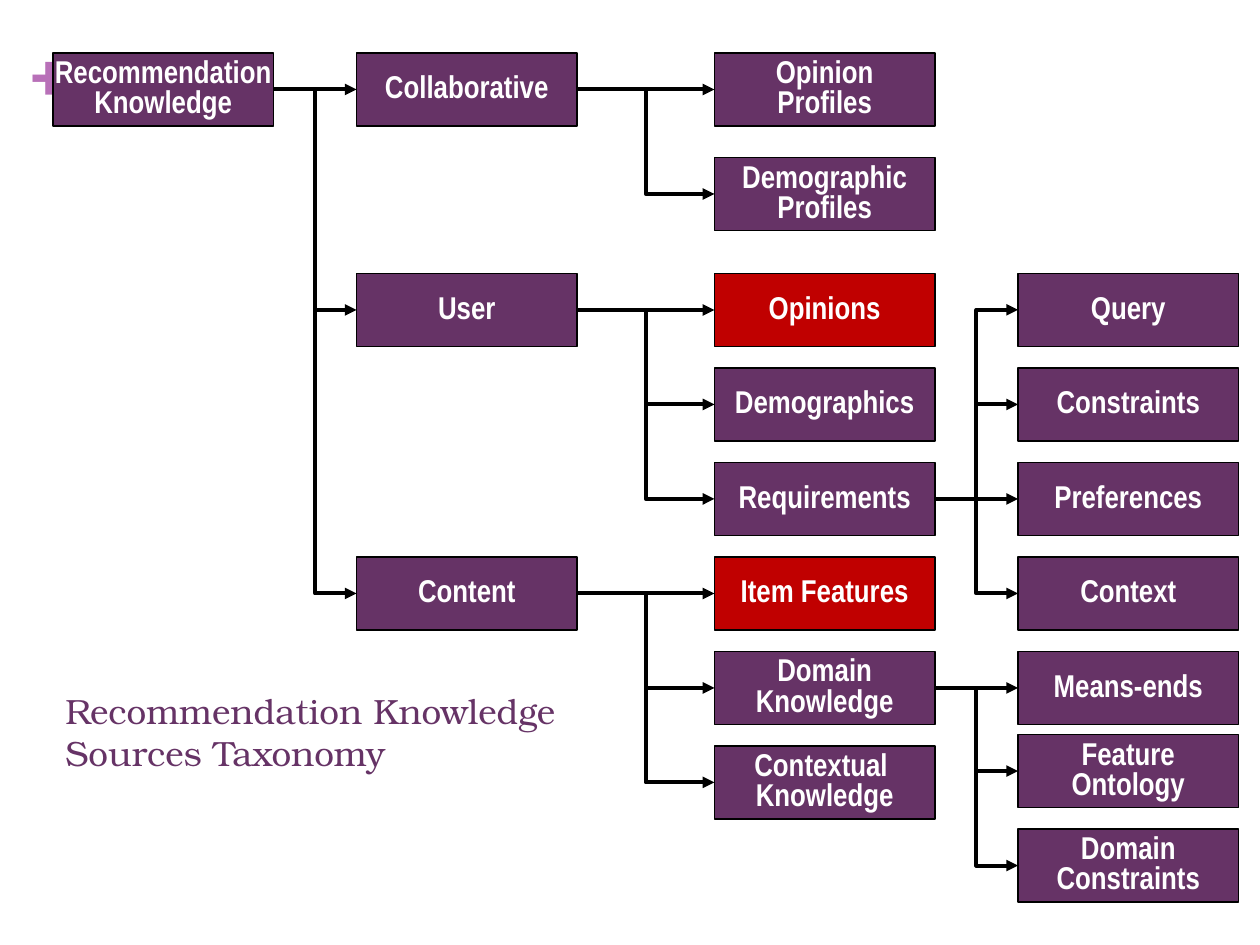
"""Build a slide with the taxonomy of recommendation knowledge sources."""
from dataclasses import dataclass

from lxml.etree import SubElement
from pptx import Presentation
from pptx.dml.color import RGBColor
from pptx.enum.shapes import MSO_CONNECTOR as Route, MSO_SHAPE as Preset
from pptx.enum.text import MSO_ANCHOR as Anchor, PP_ALIGN as Align
from pptx.oxml.ns import qn
from pptx.shapes.autoshape import Shape
from pptx.shapes.shapetree import SlideShapes
from pptx.util import Inches, Pt

PURPLE = RGBColor(0x66, 0x33, 0x66)
RED = RGBColor(0xC0, 0x00, 0x00)
ORCHID = RGBColor(0xB8, 0x70, 0xB8)
BLACK = RGBColor(0x00, 0x00, 0x00)
WHITE = RGBColor(0xFF, 0xFF, 0xFF)

SERIF = "TeX Gyre Bonum"
TITLE_FONT = {"name": SERIF, "size": Pt(20), "bold": False}
PLUS_FONT = {"name": SERIF, "size": Pt(36), "bold": True}
TOPIC_FONT = {"name": "Arial Narrow", "size": Pt(18), "bold": True}
TOPIC_PARAGRAPH = {"alignment": Align.CENTER, "line_spacing": 0.8}
TOPIC_FRAME = {"word_wrap": False, "vertical_anchor": Anchor.MIDDLE}
TITLE_FRAME = {"word_wrap": True, "vertical_anchor": Anchor.TOP}
PLUS_FRAME = {"word_wrap": False} | {
    f"margin_{side}": 0 for side in ("left", "top", "right", "bottom")
}

COLUMN_LEFTS = (0.42, 2.83, 5.67, 8.08)
TOPIC_WIDTH, TOPIC_HEIGHT = 1.75, 0.58
RIGHT_SITE, LEFT_SITE = 3, 1


@dataclass(frozen=True)
class Topic:
    """A knowledge source with its narrower sources."""
    label: str
    top: float
    children: tuple["Topic", ...] = ()
    fill: RGBColor = PURPLE


def stack(top: float, *labels: str) -> tuple[Topic, ...]:
    """Return childless topics at an even row pitch."""
    return tuple(Topic(label, top + 0.75 * row) for row, label in enumerate(labels))


TAXONOMY = Topic("Recommendation\vKnowledge", 0.42, (
    Topic("Collaborative", 0.42, (
        Topic("Opinion\nProfiles", 0.42),
        Topic("Demographic\nProfiles", 1.25),
    )),
    Topic("User", 2.17, (
        Topic("Opinions", 2.17, fill=RED),
        Topic("Demographics", 2.92),
        Topic("Requirements", 3.67,
              stack(2.17, "Query", "Constraints", "Preferences", "Context")),
    )),
    Topic("Content", 4.42, (
        Topic("Item Features", 4.42, fill=RED),
        Topic("Domain\vKnowledge", 5.17, (
            Topic("Means-ends", 5.17),
            *stack(5.83, "Feature\vOntology", "Domain\vConstraints"),
        )),
        Topic("Contextual \nKnowledge", 5.92),
    )),
))


def apply(target: object, values: dict) -> None:
    """Set each named attribute on the target."""
    for attribute, value in values.items():
        setattr(target, attribute, value)


def write(shape: Shape, text: str, frame: dict, paragraph: dict,
          font: dict, color: RGBColor) -> None:
    """Fill a shape with formatted text."""
    shape.text_frame.text = text
    apply(shape.text_frame, frame)
    for line in shape.text_frame.paragraphs:
        apply(line, paragraph)
        for run in line.runs:
            apply(run.font, font)
            run.font.color.rgb = color


def draw_arrow(shapes: SlideShapes, parent: Shape, child: Shape) -> None:
    """Join a parent to a child with an arrow."""
    route = Route.STRAIGHT if parent.top == child.top else Route.ELBOW
    arrow = shapes.add_connector(route, 0, 0, 0, 0)
    arrow.begin_connect(parent, RIGHT_SITE)
    arrow.end_connect(child, LEFT_SITE)
    arrow.line.color.rgb = BLACK
    arrow.line.width = Pt(2.25)
    SubElement(arrow.line._get_or_add_ln(), qn("a:tailEnd"), type="triangle")
    SubElement(arrow._element.spPr, qn("a:effectLst"))


def draw_topic(shapes: SlideShapes, topic: Topic, column: int = 0) -> Shape:
    """Draw a topic and everything below it."""
    box = shapes.add_shape(
        Preset.RECTANGLE, Inches(COLUMN_LEFTS[column]), Inches(topic.top),
        Inches(TOPIC_WIDTH), Inches(TOPIC_HEIGHT))
    box.shadow.inherit = False
    box.fill.solid()
    box.fill.fore_color.rgb = topic.fill
    box.line.color.rgb = BLACK
    box.line.width = Pt(0.75)
    write(box, topic.label, TOPIC_FRAME, TOPIC_PARAGRAPH, TOPIC_FONT, WHITE)
    for child in topic.children:
        draw_arrow(shapes, box, draw_topic(shapes, child, column + 1))
    return box


def main() -> None:
    """Build and save the slide."""
    deck = Presentation()
    deck.slide_width, deck.slide_height = Inches(10), Inches(7.5)
    shapes = deck.slides.add_slide(deck.slide_layouts[6]).shapes
    plus = shapes.add_textbox(Inches(0.24), Inches(0.25), Inches(0.29), Inches(0.61))
    write(plus, "+", PLUS_FRAME, {}, PLUS_FONT, ORCHID)
    title = shapes.add_textbox(Inches(0.42), Inches(5.42), Inches(4.25), Inches(1.25))
    write(title, "Recommendation Knowledge Sources Taxonomy",
          TITLE_FRAME, {}, TITLE_FONT, PURPLE)
    draw_topic(shapes, TAXONOMY)
    deck.save("out.pptx")


main()
